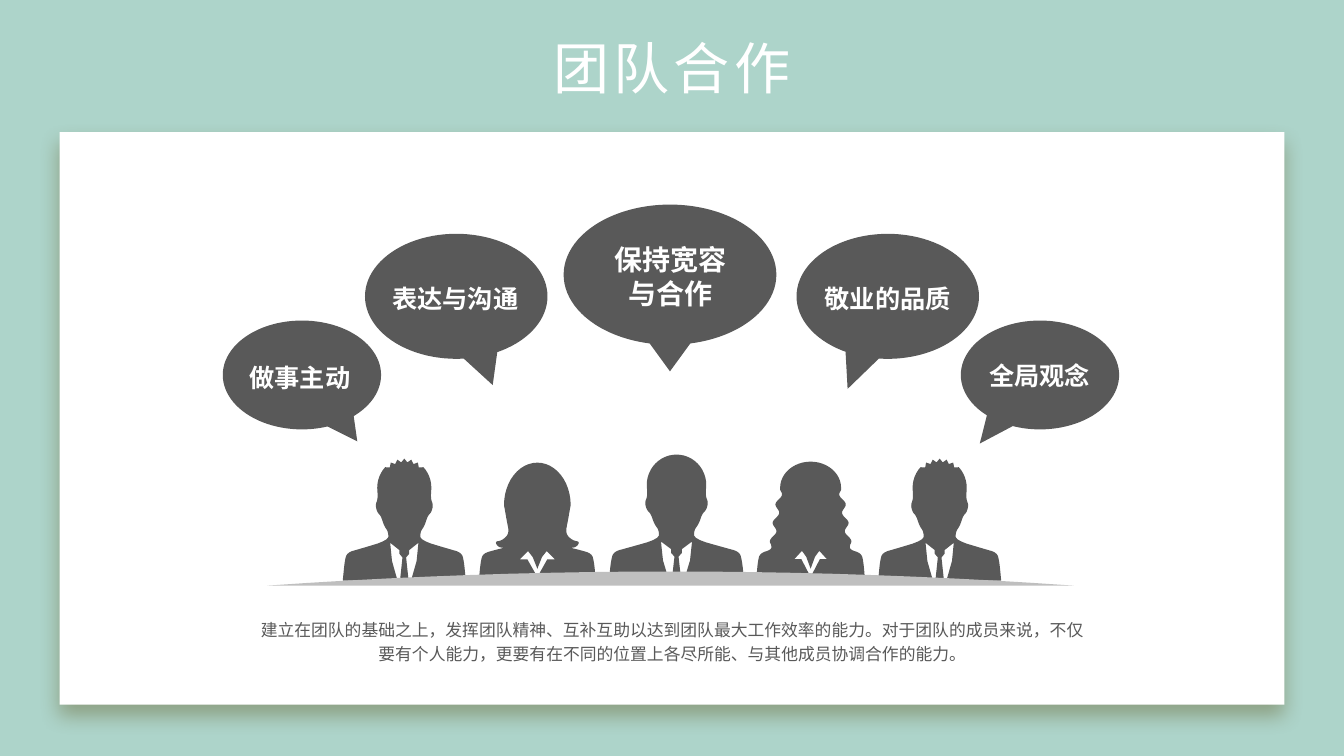
from dataclasses import dataclass
from math import cos, pi, sin

from lxml.etree import SubElement
from pptx import Presentation
from pptx.dml.color import RGBColor
from pptx.enum.shapes import MSO_SHAPE
from pptx.enum.text import MSO_ANCHOR, PP_ALIGN
from pptx.oxml.ns import qn
from pptx.util import Inches, Pt

FONT = "Calibri"
WHITE, DARK, TABLE_GREY, MINT = "FFFFFF", "595959", "BFBFBF", "ADD4CA"

Box = tuple[float, float, float, float]
Points = list[tuple[float, float]]


@dataclass
class Bubble:
    words: str
    size: int
    oval: Box
    label: Box
    tail: tuple[float, float]


@dataclass
class Hairstyle:
    """Crown is an elliptical arc; sides lead from it down to the shoulders."""
    crown_width: float
    crown_height: float
    sides: Points
    spiky: bool = False


@dataclass
class Person:
    centre: float
    top: float
    half_width: float
    hair: Hairstyle
    gaps: list[Points]


BUBBLES = [
    Bubble("表达与沟通", 18, (3.62, 2.32, 1.81, 1.24), (3.73, 2.76, 1.57, 0.44), (0.2, 0.71)),
    Bubble("敬业的品质", 18, (7.9, 2.32, 1.81, 1.24), (8.02, 2.76, 1.57, 0.44), (-0.22, 0.74)),
    Bubble("全局观念", 18, (9.53, 3.18, 1.57, 1.08), (9.68, 3.53, 1.26, 0.44), (-0.38, 0.63)),
    Bubble("保持宽容与合作", 20, (5.59, 2.03, 2.11, 1.39), (5.89, 2.36, 1.52, 0.75), (0, 0.69)),
    Bubble("做事主动", 18, (2.21, 3.18, 1.57, 1.08), (2.31, 3.55, 1.33, 0.4), (0.35, 0.61)),
]


def mirrored(half: Points) -> Points:
    return [(-x, y) for x, y in reversed(half)]


def wavy_sides() -> Points:
    """Let the hair widen steadily downwards while a sine wave ripples it."""
    first, last, wave_start, wave_length, steps = 0.24, 0.7, 0.24, 0.155, 24
    heights = [first + (last - first) * step / steps for step in range(steps + 1)]
    return [(0.56 + 0.33 * (y - first) - 0.05 * sin(2 * pi * (y - wave_start) / wave_length), y)
            for y in heights]


# Body units: x from the centre line in half widths, y from crown (0) to table (1).
TABLE_LEVEL = 5.76
SHOULDER = [(0.72, 0.74), (0.93, 0.77), (0.97, 0.84), (1, 1)]
EAR, JAW, NECK = [(0.43, 0.33), (0.47, 0.38), (0.44, 0.44)], [(0.38, 0.47), (0.33, 0.55)], [(0.26, 0.6), (0.26, 0.67)]
FACE = EAR + JAW + NECK
FLICKED_ENDS = [(0.52, 0.5), (0.48, 0.6), (0.6, 0.66), (0.73, 0.67), (0.66, 0.72), (0.55, 0.72)]

SPIKY = Hairstyle(0.44, 0.24, FACE, spiky=True)
SHORT = Hairstyle(0.44, 0.24, FACE)
STRAIGHT = Hairstyle(0.57, 0.36, FLICKED_ENDS)
WAVY = Hairstyle(0.56, 0.22, wavy_sides())

LAPEL, TIE = [(0.23, 0.69), (0.2, 0.84), (0.11, 1)], [(0.07, 1), (0.03, 0.81), (0.08, 0.78), (0.08, 0.75)]
SHIRT = LAPEL + TIE
COLLAR = [(0, 0.9), (0.08, 0.8), (0.16, 0.75), (0.3, 0.82), (0.17, 0.82), (0, 0.97)]
SUIT = [SHIRT, mirrored(SHIRT)]
BLOUSE = [COLLAR + mirrored(COLLAR)]

PEOPLE = [
    Person(9.32, 4.55, 0.61, SPIKY, SUIT),
    Person(4.01, 4.55, 0.61, SPIKY, SUIT),
    Person(5.33, 4.59, 0.58, STRAIGHT, BLOUSE),
    Person(8.04, 4.58, 0.54, WAVY, BLOUSE),
    Person(6.71, 4.51, 0.67, SHORT, SUIT),
]


def crown_arc(hair: Hairstyle) -> Points:
    """Trace the crown from its top to its right side, notched when spiky."""
    steps, notch, notched_steps = 12, 0.88, 7
    points = []
    for step in range(steps + 1):
        angle = pi / 2 * (1 - step / steps)
        reach = notch if hair.spiky and step % 2 and step < notched_steps else 1
        points.append((hair.crown_width * reach * cos(angle),
                       hair.crown_height * (1 - reach * sin(angle))))
    return points


def rounded(line: Points, passes: int = 2) -> Points:
    """Cut every corner a quarter of the way along its edges, keeping both ends."""
    for _ in range(passes):
        cut = [line[0]]
        for (x1, y1), (x2, y2) in zip(line, line[1:]):
            cut += [(0.75 * x1 + 0.25 * x2, 0.75 * y1 + 0.25 * y2),
                    (0.25 * x1 + 0.75 * x2, 0.25 * y1 + 0.75 * y2)]
        line = cut + [line[-1]]
    return line


def rgb(colour: str) -> RGBColor:
    return RGBColor.from_string(colour)


def paint(shape, colour: str) -> None:
    shape.shadow.inherit = False
    shape.fill.solid()
    shape.fill.fore_color.rgb = rgb(colour)
    shape.line.fill.background()


def add_preset(shapes, preset: MSO_SHAPE, box: Box, colour: str):
    shape = shapes.add_shape(preset, *map(Inches, box))
    paint(shape, colour)
    return shape


def add_text(shapes, words: str, box: Box, size: int, colour: str, bold: bool = False):
    """Add a centred, wrapping text box holding one run."""
    text = shapes.add_textbox(*map(Inches, box))
    text.text_frame.word_wrap = True
    paragraph = text.text_frame.paragraphs[0]
    paragraph.alignment = PP_ALIGN.CENTER
    run = paragraph.add_run()
    run.text = words
    run.font.name = FONT
    run.font.size = Pt(size)
    run.font.bold = bold
    run.font.color.rgb = rgb(colour)
    return text


def add_outline(shapes, contours: list[Points], colour: str) -> None:
    """Fill closed contours as one shape; a contour inside another is a hole."""
    scaled = [[(Inches(x), Inches(y)) for x, y in contour] for contour in contours]
    builder = shapes.build_freeform(*scaled[0][0], scale=1.0)
    for index, (start, *rest) in enumerate(scaled):
        if index:
            builder.move_to(*start)
        builder.add_line_segments(rest, close=True)
    paint(builder.convert_to_shape(), colour)


def add_person(shapes, person: Person) -> None:
    crown = crown_arc(person.hair)
    right_half = crown[:-1] + rounded([crown[-1]] + person.hair.sides + SHOULDER)
    silhouette = right_half + mirrored(right_half)
    height = TABLE_LEVEL - person.top
    contours = [[(person.centre + x * person.half_width, person.top + y * height)
                 for x, y in contour] for contour in [silhouette, *person.gaps]]
    add_outline(shapes, contours, DARK)


def add_soft_shadow(shape) -> None:
    effects = shape._element.spPr.find(qn("a:effectLst"))
    shadow = SubElement(effects, qn("a:outerShdw"), blurRad=str(Pt(15)), dist=str(Pt(8)),
                        dir="5400000", algn="t", rotWithShape="0")
    colour = SubElement(shadow, qn("a:srgbClr"), val="5D5419")
    SubElement(colour, qn("a:alpha"), val="40000")


def add_bubble(shapes, bubble: Bubble) -> None:
    group = shapes.add_group_shape().shapes
    oval = add_preset(group, MSO_SHAPE.OVAL_CALLOUT, bubble.oval, DARK)
    oval.adjustments[0], oval.adjustments[1] = bubble.tail
    label = add_text(group, bubble.words, bubble.label, bubble.size, WHITE, bold=True)
    paint(label, DARK)


def table_edge() -> Points:
    """Trace the shallow arch of the table top from left to right."""
    centre, half_width, top, rise, steps = 6.65, 4, 5.67, 0.14, 20
    across = [2 * step / steps - 1 for step in range(steps + 1)]
    return [(centre + half_width * t, top + rise * t * t) for t in across]


def main() -> None:
    prs = Presentation()
    prs.slide_width, prs.slide_height = Inches(13.33), Inches(7.5)
    slide = prs.slides.add_slide(prs.slide_layouts[6])
    slide.background.fill.solid()
    slide.background.fill.fore_color.rgb = rgb(MINT)
    shapes = slide.shapes

    panel = add_preset(shapes, MSO_SHAPE.RECTANGLE, (0.59, 1.31, 12.15, 5.68), WHITE)
    add_soft_shadow(panel)

    title = add_text(shapes, "团队合作", (3.86, 0.36, 5.61, 0.61), 40, WHITE).text_frame
    title.vertical_anchor = MSO_ANCHOR.MIDDLE
    title.margin_left = title.margin_right = Inches(0.07)
    title.margin_top = title.margin_bottom = Inches(0.04)
    title.paragraphs[0].runs[0].font._element.set("spc", "300")

    summary = add_text(
        shapes,
        "建立在团队的基础之上，发挥团队精神、互补互助以达到团队最大工作效率的能力。"
        "对于团队的成员来说，不仅要有个人能力，更要有在不同的位置上各尽所能、与其他成员协调合作的能力。",
        (2.44, 6.06, 8.46, 0.7), 12, DARK)
    summary.text_frame.paragraphs[0].line_spacing = 1.2

    for person in PEOPLE:
        add_person(shapes, person)
    for bubble in BUBBLES:
        add_bubble(shapes, bubble)
    add_outline(shapes, [table_edge()], TABLE_GREY)
    prs.save("out.pptx")


if __name__ == "__main__":
    main()
